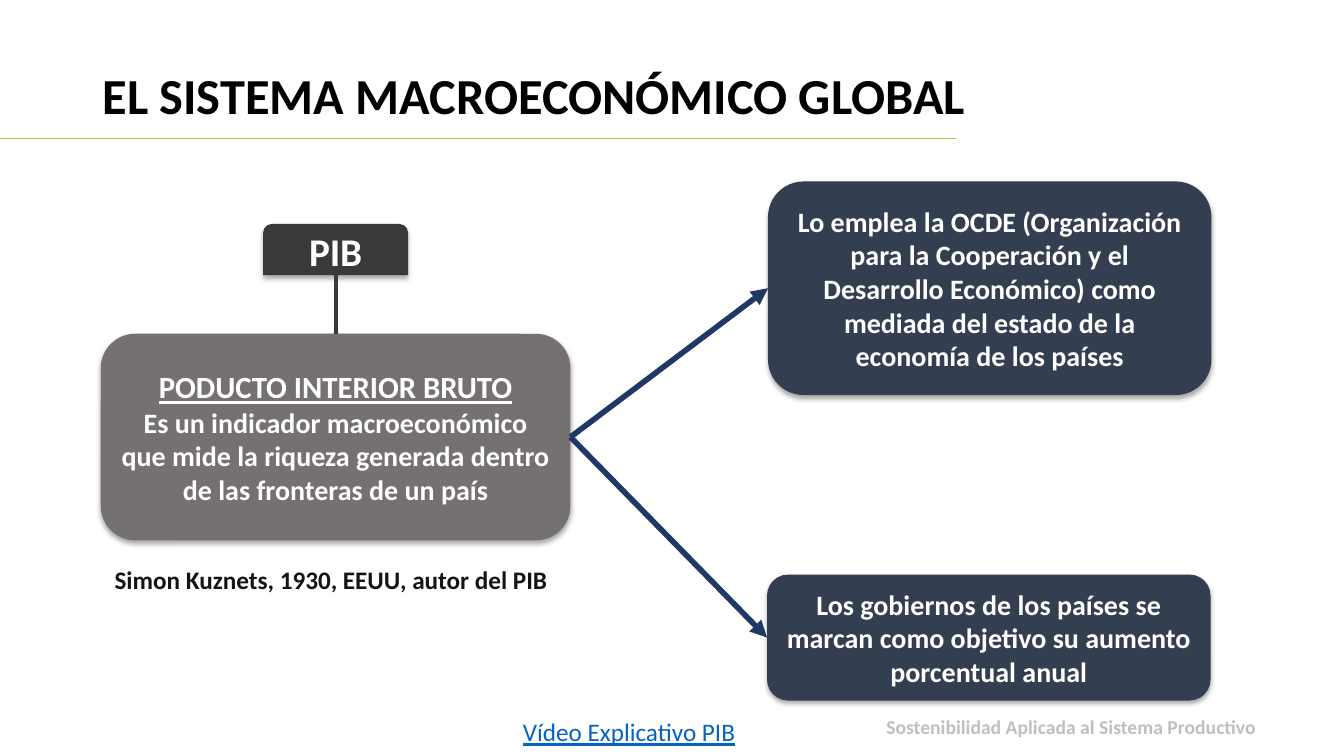
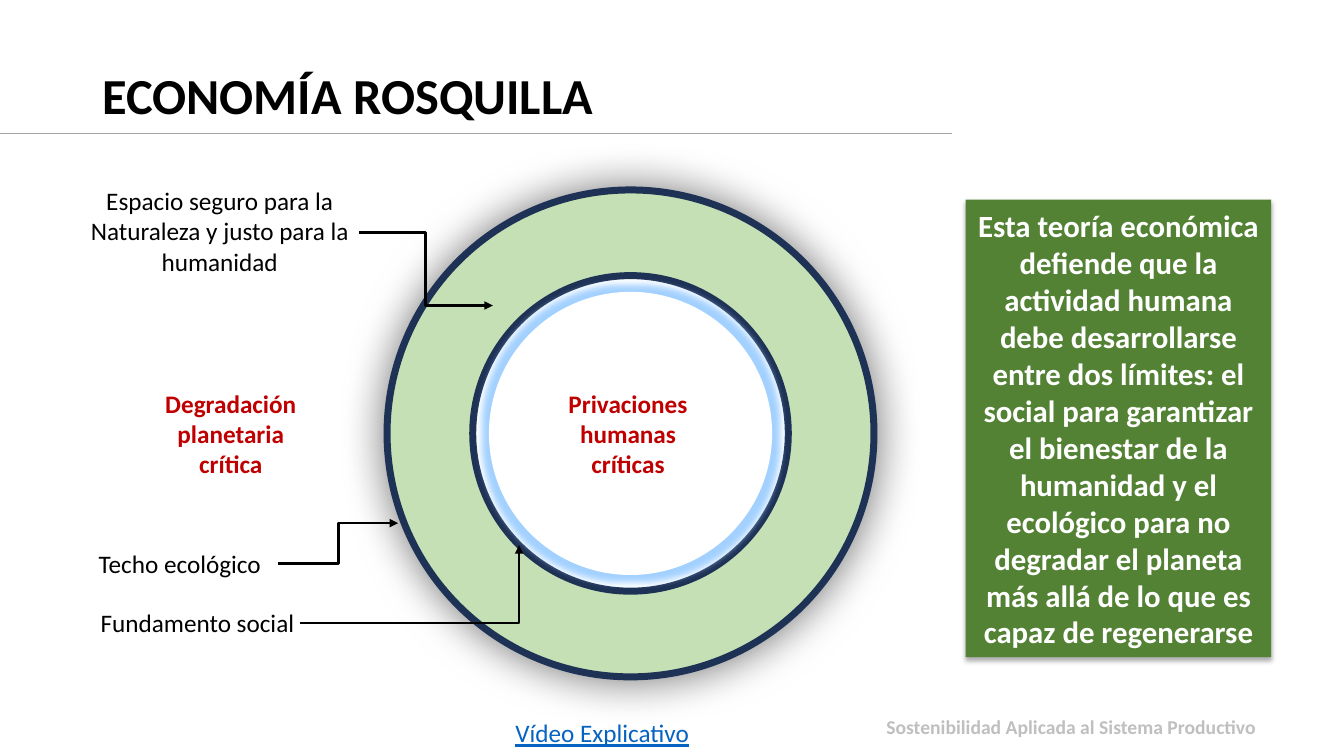
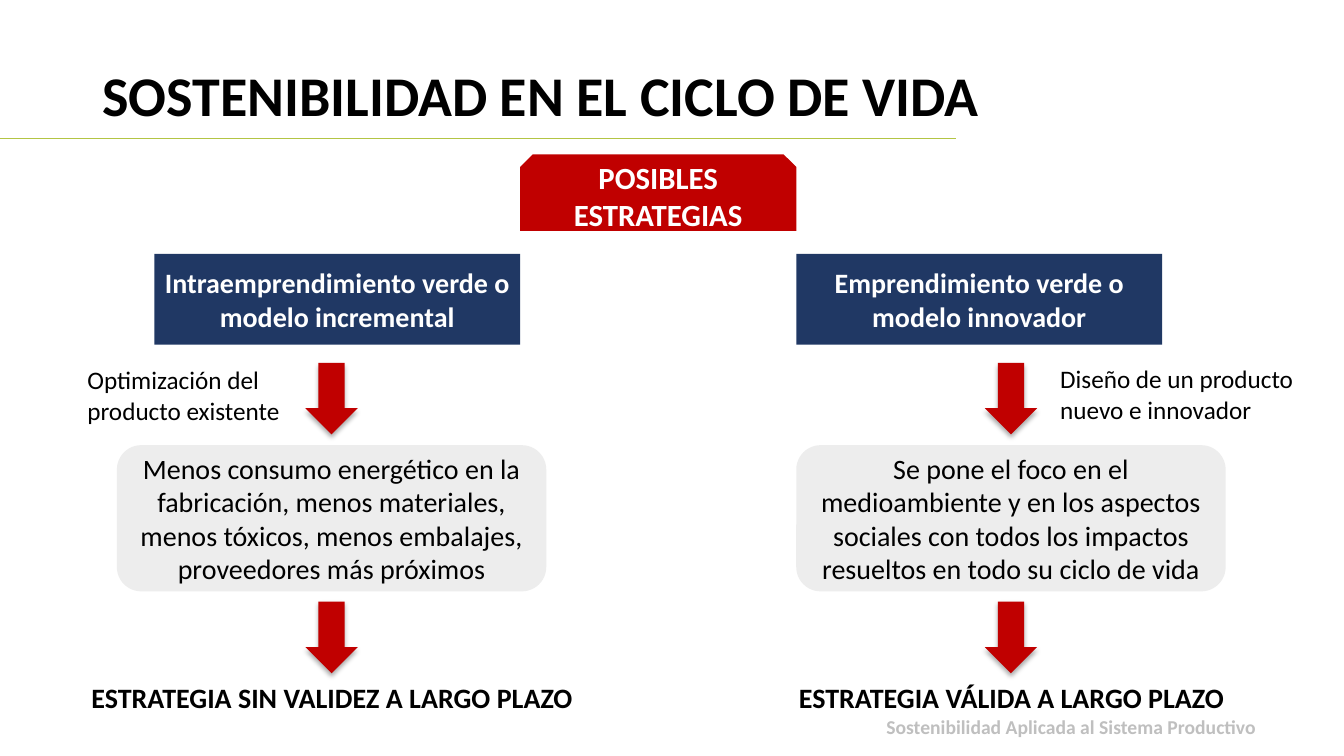
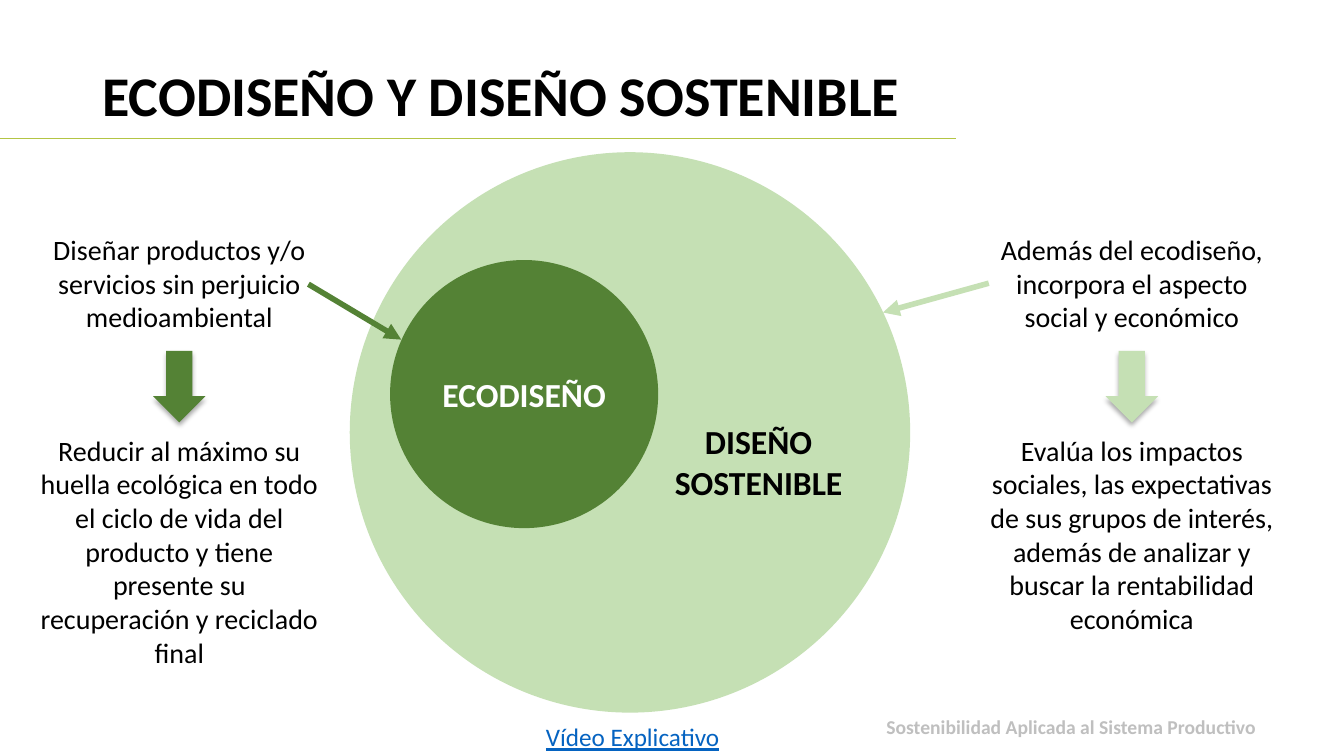
from dataclasses import dataclass

from lxml.etree import SubElement
from pptx import Presentation
from pptx.dml.color import RGBColor
from pptx.enum.shapes import MSO_CONNECTOR as Link, MSO_SHAPE as Form
from pptx.enum.text import MSO_ANCHOR as Anchor, PP_ALIGN as Align
from pptx.oxml.ns import qn
from pptx.util import Pt


@dataclass(frozen=True)
class Theme:
    font: str = "Calibri"
    black: str = "000000"
    white: str = "FFFFFF"
    ink: str = "141414"
    lime: str = "B3C544"
    rule_grey: str = "A5A5A5"
    footer_grey: str = "BFBFBF"
    pale_grey: str = "EDEDED"
    charcoal: str = "3B3838"
    stone: str = "767171"
    slate: str = "333F50"
    navy: str = "203864"
    ring_navy: str = "1E3256"
    red: str = "C00000"
    green: str = "548235"
    pale_green: str = "C5E0B4"
    glow_blue: str = "A3D1FF"
    link_blue: str = "0563C1"
    title: int = 36
    title_large: int = 40
    tag: int = 28
    label: int = 24
    lead: int = 22
    body: int = 20
    note: int = 18
    footer: int = 14


THEME = Theme()
FOOTER = "Sostenibilidad Aplicada al Sistema Productivo"
SOFT = (3.5, 2.2, 32)
HALO = (32, 0, 55)


class Deck:
    def __init__(self, theme):
        self.theme = theme
        self.file = Presentation()
        self.file.slide_width, self.file.slide_height = Pt(960), Pt(540)
        self.page = None

    def add_page(self, title, size, rule=(-0.7, 98.6), rule_color=None):
        self.page = self.file.slides.add_slide(self.file.slide_layouts[6])
        heading = self.text(title, 66.2, 42, 724.3, 56, size, bold=True, align=Align.LEFT, spacing=0.9)
        heading.text_frame.vertical_anchor = Anchor.MIDDLE
        left, top = rule
        self.line((left, top), (left + 683.3, top), rule_color or self.theme.lime, 0.5)
        self.text(FOOTER, 529.9, 509, 374.4, 35.3, self.theme.footer, self.theme.footer_grey,
                  bold=True, align=Align.RIGHT, spacing=0.9)

    def fill_text(self, box, text, size, color, bold, align, spacing=None):
        frame = box.text_frame
        frame.word_wrap = True
        frame.text = text
        for para in frame.paragraphs:
            para.alignment = align
            para.line_spacing = spacing
            para.font.name = self.theme.font
            para.font.size = Pt(size)
            para.font.bold = bold
            para.font.color.rgb = RGBColor.from_string(color)

    def text(self, text, left, top, width, height, size, color=None,
             bold=False, align=Align.CENTER, spacing=None):
        box = self.page.shapes.add_textbox(Pt(left), Pt(top), Pt(width), Pt(height))
        self.fill_text(box, text, size, color or self.theme.black, bold, align, spacing)
        return box

    def video(self, text, left, top, width):
        box = self.text(text, left, top, width, 28.8, self.theme.note, self.theme.link_blue)
        box.text_frame.paragraphs[0].font.underline = True

    def shape(self, form, left, top, width, height, fill, text="", size=None, color=None,
              bold=True, shadow=None, outline=None):
        box = self.page.shapes.add_shape(form, Pt(left), Pt(top), Pt(width), Pt(height))
        box.fill.solid()
        box.fill.fore_color.rgb = RGBColor.from_string(fill)
        if outline:
            box.line.color.rgb = RGBColor.from_string(outline)
            box.line.width = Pt(5)
        else:
            box.line.fill.background()
        box.shadow.inherit = False
        if shadow:
            blur, distance, opacity = shadow
            self.effect(box, "a:outerShdw", self.theme.black, opacity, blurRad=Pt(blur),
                        dist=Pt(distance), dir=5400000, algn="ctr", rotWithShape=0)
        if text:
            self.fill_text(box, text, size or self.theme.body, color or self.theme.white, bold, Align.CENTER)
            box.text_frame.vertical_anchor = Anchor.MIDDLE
        return box

    def effect(self, box, tag, color, opacity, **settings):
        effects = box.element.spPr.find(qn("a:effectLst"))
        item = SubElement(effects, qn(tag), {key: str(value) for key, value in settings.items()})
        tint = SubElement(item, qn("a:srgbClr"), val=color)
        SubElement(tint, qn("a:alpha"), val=str(opacity * 1000))

    def circle(self, center, diameter, fill, **options):
        left, top = (value - diameter / 2 for value in center)
        return self.shape(Form.OVAL, left, top, diameter, diameter, fill, **options)

    def down_arrow(self, left, top, fill):
        self.shape(Form.DOWN_ARROW, left, top, 37.4, 51.1, fill, shadow=SOFT)

    def line(self, start, end, color, width, arrow=False, kind=Link.STRAIGHT):
        line = self.page.shapes.add_connector(kind, *(Pt(value) for value in (*start, *end)))
        line.line.color.rgb = RGBColor.from_string(color)
        line.line.width = Pt(width)
        properties = line.element.spPr
        if arrow:
            SubElement(properties.find(qn("a:ln")), qn("a:tailEnd"), type="triangle")
        SubElement(properties, qn("a:effectLst"))
        return line

    def elbow(self, start, end, preset="bentConnector3"):
        line = self.line(start, end, self.theme.black, 2, True, Link.ELBOW)
        line.element.spPr.find(qn("a:prstGeom")).set("prst", preset)


def add_gdp_page(deck):
    theme = deck.theme
    deck.add_page("EL SISTEMA MACROECONÓMICO GLOBAL", theme.title)
    deck.shape(Form.ROUND_2_SAME_RECTANGLE, 188, 160, 103.5, 36.6, theme.charcoal,
               "PIB", theme.tag, shadow=SOFT)
    definition = deck.shape(
        Form.ROUNDED_RECTANGLE, 72, 238.4, 335.5, 147.6, theme.stone,
        "PODUCTO INTERIOR BRUTO\nEs un indicador macroeconómico que mide la riqueza generada "
        "dentro de las fronteras de un país", shadow=SOFT)
    heading = definition.text_frame.paragraphs[0].font
    heading.size, heading.underline = Pt(theme.lead), True
    stem = deck.line((239.75, 238.4), (239.75, 196.6), theme.charcoal, 3)
    stem.begin_connect(definition, 0)

    uses = [
        (548.6, 129.6, 152.6, "Lo emplea la OCDE (Organización para la Cooperación y el Desarrollo "
                              "Económico) como mediada del estado de la economía de los países"),
        (547.9, 410.4, 90, "Los gobiernos de los países se marcan como objetivo su aumento porcentual anual"),
    ]
    for left, top, height, text in uses:
        use = deck.shape(Form.ROUNDED_RECTANGLE, left, top, 316.8, height, theme.slate, text, shadow=SOFT)
        arrow = deck.line((407.5, 312.2), (left, top + height / 2), theme.navy, 4, arrow=True)
        arrow.begin_connect(definition, 3)
        arrow.end_connect(use, 1)

    deck.text("Simon Kuznets, 1930, EEUU, autor del PIB", 66.2, 399.6, 340.6, 28.8,
              theme.note, theme.ink, bold=True)
    deck.video("Vídeo Explicativo PIB", 350, 508.3, 198.7)


def add_doughnut_page(deck):
    theme = deck.theme
    deck.add_page("ECONOMÍA ROSQUILLA", theme.title, (-3.6, 95), theme.rule_grey)
    center = (450.4, 309.6)
    deck.circle(center, 347.8, theme.pale_green, outline=theme.ring_navy, shadow=HALO)
    deck.circle(center, 225.4, theme.white, outline=theme.ring_navy)
    core = deck.circle(center, 197.3, theme.white, outline=theme.white)
    deck.effect(core, "a:glow", theme.glow_blue, 100, rad=Pt(10))

    for left, text in ((394.6, "Privaciones humanas críticas"), (110.9, "Degradación planetaria crítica")):
        deck.text(text, left, 273.6, 108, 72.7, theme.note, theme.red, bold=True)
    for left, top, text in ((64.8, 430.6, "Fundamento social"), (63.4, 388.1, "Techo ecológico")):
        deck.text(text, left, top, 193, 28.8, theme.note, align=Align.LEFT)
    deck.text("Espacio seguro para la Naturaleza y justo para la humanidad",
              46.8, 128.9, 220.3, 72.7, theme.note)
    deck.elbow((214.6, 445), (370.8, 389.5), "bentConnector2")
    deck.elbow((198.7, 402.5), (284.4, 373.7))
    deck.elbow((256.3, 166.3), (352.1, 218.2))

    deck.shape(
        Form.RECTANGLE, 689.8, 142.6, 218.2, 326.9, theme.green,
        "Esta teoría económica defiende que la actividad humana debe desarrollarse entre dos límites: "
        "el social para garantizar el bienestar de la humanidad y el ecológico para no degradar "
        "el planeta más allá de lo que es capaz de regenerarse", theme.lead, shadow=SOFT)
    deck.video("Vídeo Explicativo", 276.5, 509, 307.4)


def add_strategy_page(deck):
    theme = deck.theme
    deck.add_page("SOSTENIBILIDAD EN EL CICLO DE VIDA", theme.title_large)
    deck.shape(Form.SNIP_2_SAME_RECTANGLE, 371.5, 110.2, 197.3, 54.7, theme.red,
               "POSIBLES ESTRATEGIAS", theme.lead)
    strategies = [
        (83.5, 110.2, "Intraemprendimiento verde o modelo incremental",
         55.4, 257, 162.7, "Optimización del producto existente",
         "Menos consumo energético en la fabricación, menos materiales, menos tóxicos, "
         "menos embalajes, proveedores más próximos",
         "ESTRATEGIA SIN VALIDEZ A LARGO PLAZO"),
        (568.8, 568.8, "Emprendimiento verde o modelo innovador",
         750.2, 256.3, 193.7, "Diseño de un producto nuevo e innovador",
         "Se pone el foco en el medioambiente y en los aspectos sociales con todos los impactos "
         "resueltos en todo su ciclo de vida",
         "ESTRATEGIA VÁLIDA A LARGO PLAZO"),
    ]
    for left, model_left, model, note_left, note_top, note_width, note, effect, verdict in strategies:
        deck.shape(Form.RECTANGLE, model_left, 181.4, 261.4, 64.8, theme.navy, model)
        deck.text(note, note_left, note_top, note_width, 51.1, theme.note, align=Align.LEFT)
        deck.shape(Form.ROUNDED_RECTANGLE, left, 318, 306.7, 104.4, theme.pale_grey,
                   effect, color=theme.black, bold=False)
        for top in (259.2, 429.8):
            deck.down_arrow(left + 134.65, top, theme.red)
        deck.text(verdict, left - 25.9, 482.4, 359.3, 31.7, theme.body, bold=True)


def add_ecodesign_page(deck):
    theme = deck.theme
    deck.add_page("ECODISEÑO Y DISEÑO SOSTENIBLE", theme.title_large)
    deck.circle((450, 308.9), 400.3, theme.pale_green)
    deck.circle((374.4, 281.5), 191.5, theme.green, text="ECODISEÑO", size=theme.label)
    deck.text("DISEÑO\nSOSTENIBLE", 470.2, 297.4, 143.3, 65.5, theme.label, bold=True)
    sides = [
        (19.4, theme.green, (220.3, 203), (286.6, 242.6),
         "Diseñar productos y/o servicios sin perjuicio medioambiental",
         "Reducir al máximo su huella ecológica en todo el ciclo de vida del producto "
         "y tiene presente su recuperación y reciclado final"),
        (699.8, theme.pale_green, (706.3, 202.3), (630.7, 223.2),
         "Además del ecodiseño, incorpora el aspecto social y económico",
         "Evalúa los impactos sociales, las expectativas de sus grupos de interés, "
         "además de analizar y buscar la rentabilidad económica"),
    ]
    for left, color, start, end, aim, result in sides:
        deck.text(aim, left, 162.7, 217.4, 79.9, theme.body)
        deck.line(start, end, color, 4, arrow=True)
        deck.down_arrow(left + 90, 250.6, color)
        deck.text(result, left, 306, 217.4, 177, theme.body)
    deck.video("Vídeo Explicativo", 362.2, 511.9, 179.3)


def main():
    deck = Deck(THEME)
    add_gdp_page(deck)
    add_doughnut_page(deck)
    add_strategy_page(deck)
    add_ecodesign_page(deck)
    deck.file.save("out.pptx")


if __name__ == "__main__":
    main()
